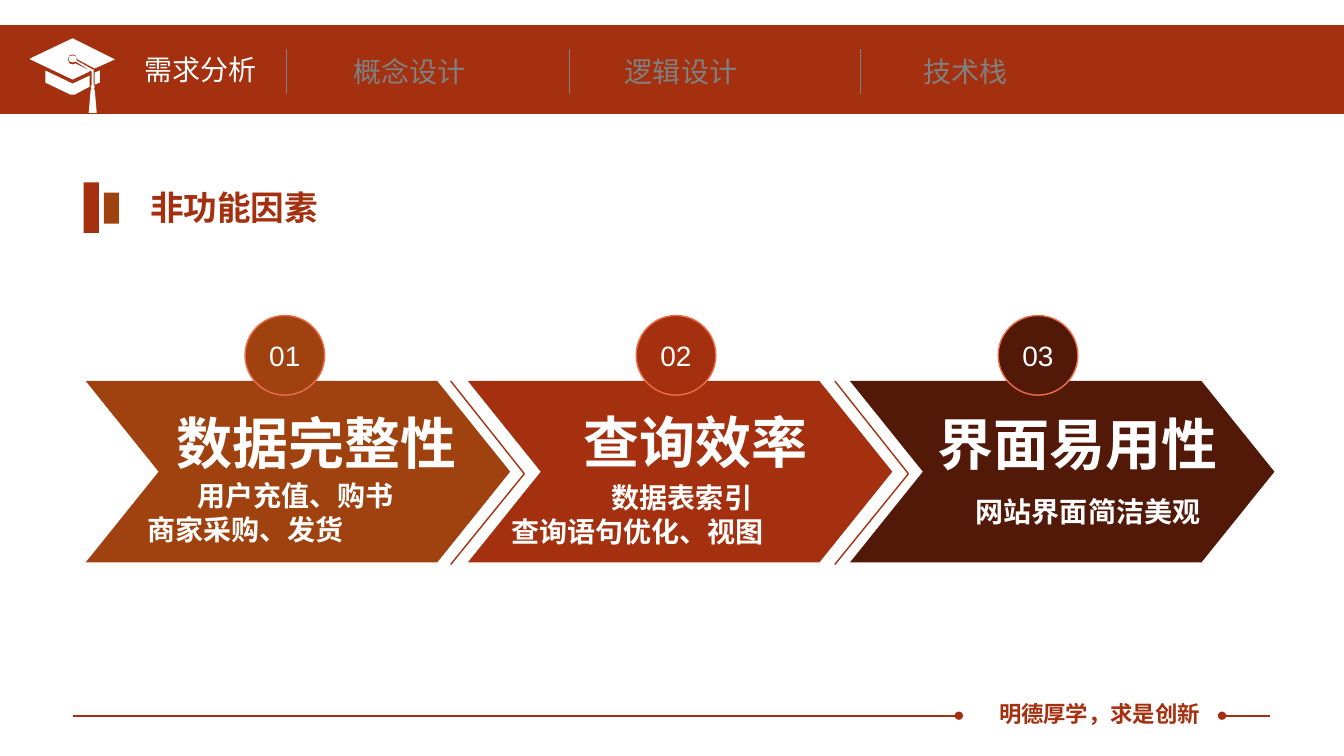
from lxml import etree
from pptx import Presentation
from pptx.dml.color import RGBColor
from pptx.enum.shapes import MSO_CONNECTOR, MSO_SHAPE
from pptx.enum.text import MSO_ANCHOR, MSO_AUTO_SIZE, PP_ALIGN
from pptx.oxml.ns import qn
from pptx.util import Pt

PX = 9144
STRAIGHT = MSO_CONNECTOR.STRAIGHT
RECTANGLE, CHEVRON, OVAL = MSO_SHAPE.RECTANGLE, MSO_SHAPE.CHEVRON, MSO_SHAPE.OVAL
MIDDLE, CENTER = MSO_ANCHOR.MIDDLE, PP_ALIGN.CENTER
GROW = MSO_AUTO_SIZE.SHAPE_TO_FIT_TEXT

RED, BROWN, DARK = "A5300F", "A04210", "521808"
WHITE, GREY, ORANGE = "FFFFFF", "808080", "EE6D49"
LATIN, CHINESE = "Arial", "Noto Sans CJK SC"

CAP_CONTOURS = [
    [(94, 84), (99, 82), (99, 70), (94, 72)],
    [(45, 70), (45, 82), (70, 94), (74, 94), (89, 86), (89, 75), (72, 83)],
    [(93, 69), (92, 69), (76, 60), (76, 58), (75, 56), (72, 55), (69, 56),
     (68, 59), (69, 61), (72, 62), (75, 61), (91, 71)],
    [(114, 59), (72, 38), (30, 58), (30, 59), (72, 79), (89, 71), (89, 70),
     (75, 63), (72, 64), (69, 63), (67, 59), (69, 55), (72, 54), (75, 55),
     (77, 59), (94, 68)],
    [(93, 69), (93, 84), (94, 86), (93, 89), (94, 89), (96, 112), (88, 112),
     (90, 89), (91, 89), (90, 86), (91, 84), (91, 71)],
]
TABS = [
    ("需求分析", 133, 47, 132, WHITE),
    ("概念设计", 341, 49, 132, GREY),
    ("逻辑设计", 610, 49, 132, GREY),
    ("技术栈", 906, 49, 104, GREY),
]
FACTORS = [
    (BROWN, 243, ("数据完整性", 165, 400, 301),
     (["\t用户充值、购书", "商家采购、发货"], 136, 470, 318, 77)),
    (RED, 631, ("查询效率", 569, 399, 245),
     (["\t\t数据表索引", "查询语句优化、视图"], 497, 472, 362, 77)),
    (DARK, 990, ("界面易用性", 920, 401, 301),
     (["网站界面简洁美观"], 958, 486, 245, 44)),
]


def color(value):
    """Turn a hex string into a colour."""
    return RGBColor.from_string(value)


def paint(shape, fill, line=None):
    """Set the fill and outline of a shape and remove its shadow."""
    shape.shadow.inherit = False
    shape.fill.solid()
    shape.fill.fore_color.rgb = color(fill)
    if line:
        shape.line.color.rgb = color(line)
        shape.line.width = Pt(1)
    else:
        shape.line.fill.background()


def add_span(para, text, size, tint, bold=False, font=LATIN):
    """Append one formatted run to a paragraph."""
    span = para.add_run()
    span.text = text
    span.font.size = Pt(size)
    span.font.bold = bold
    span.font.name = font
    span.font.color.rgb = color(tint)
    east_asian = etree.SubElement(span.font._element, qn("a:ea"))
    east_asian.set("typeface", CHINESE)


def add_label(page, lines, left, top, width, height, size, tint, bold=True, font=LATIN):
    """Add an unwrapped text box with its lines split by breaks."""
    box = page.shapes.add_textbox(left * PX, top * PX, width * PX, height * PX)
    box.text_frame.word_wrap = False
    box.text_frame.auto_size = GROW
    para = box.text_frame.paragraphs[0]
    for index, line in enumerate(lines):
        if index:
            para.add_line_break()
        add_span(para, line, size, tint, bold, font)


def add_block(page, kind, left, top, width, height, fill, line=None):
    """Add a filled preset shape."""
    block = page.shapes.add_shape(kind, left * PX, top * PX, width * PX, height * PX)
    paint(block, fill, line)
    return block


def add_rule(page, start, end, tint, weight, dot=None):
    """Add a straight line, with a round dot at headEnd or tailEnd if given."""
    ends = [value * PX for value in (*start, *end)]
    rule = page.shapes.add_connector(STRAIGHT, *ends)
    rule.line.color.rgb = color(tint)
    rule.line.width = Pt(weight)
    if dot:
        etree.SubElement(rule.line._get_or_add_ln(), qn(f"a:{dot}")).set("type", "oval")
    etree.SubElement(rule._element.spPr, qn("a:effectLst"))


def add_cap(page):
    """Draw the graduation cap from its contours."""
    first, *others = CAP_CONTOURS
    builder = page.shapes.build_freeform(*first[0], scale=PX)
    builder.add_line_segments(first[1:], close=True)
    for contour in others:
        builder.move_to(*contour[0])
        builder.add_line_segments(contour[1:], close=True)
    paint(builder.convert_to_shape(), WHITE)


def add_header(page):
    """Draw the top band with its cap, tabs and dividers."""
    add_block(page, RECTANGLE, 0, 25, 1333, 88, RED)
    add_cap(page)
    for name, left, top, width, tint in TABS:
        add_label(page, [name], left, top, width, 44, 20, tint, False, CHINESE)
    for x in (284, 565, 853):
        add_rule(page, (x, 49), (x, 93), GREY, 0.5)


def add_footer(page):
    """Draw the motto between its two dotted lines."""
    add_label(page, ["明德厚学，求是创新"], 981, 690, 222, 37, 16, RED)
    add_rule(page, (72, 710), (951, 710), RED, 1.25, "tailEnd")
    add_rule(page, (1212, 710), (1260, 710), RED, 1.25, "headEnd")


def add_title(page):
    """Draw the section title with its two bars."""
    add_label(page, ["非功能因素"], 139, 181, 188, 50, 24, RED)
    add_block(page, RECTANGLE, 83, 181, 15, 50, RED)
    add_block(page, RECTANGLE, 103, 191, 15, 31, BROWN)


def add_badge(page, number, left, fill):
    """Draw a numbered circle."""
    badge = add_block(page, OVAL, left, 313, 79, 79, fill, ORANGE)
    badge.text_frame.vertical_anchor = MIDDLE
    para = badge.text_frame.paragraphs[0]
    para.alignment = CENTER
    add_span(para, f"{number:02d}", 20, WHITE)


def add_factor(page, index, fill, badge_left, heading, detail):
    """Draw one chevron with its heading, detail and badge."""
    chevron = add_block(page, CHEVRON, 85 + 379 * index, 378, 421, 180, fill)
    chevron.adjustments[0] = 0.402
    title, left, top, width = heading
    add_label(page, [title], left, top, width, 77, 40, WHITE)
    add_label(page, *detail, 20, WHITE)
    add_badge(page, index + 1, badge_left, fill)


def main():
    """Build and save the slide."""
    deck = Presentation()
    deck.slide_width, deck.slide_height = 1333 * PX, 750 * PX
    page = deck.slides.add_slide(deck.slide_layouts[6])
    add_header(page)
    add_footer(page)
    add_title(page)
    for index, factor in enumerate(FACTORS):
        add_factor(page, index, *factor)
    for tip in (520, 901):
        for y in (378, 560):
            add_rule(page, (tip, 470), (tip - 73, y), RED, 1)
    deck.save("out.pptx")


if __name__ == "__main__":
    main()
